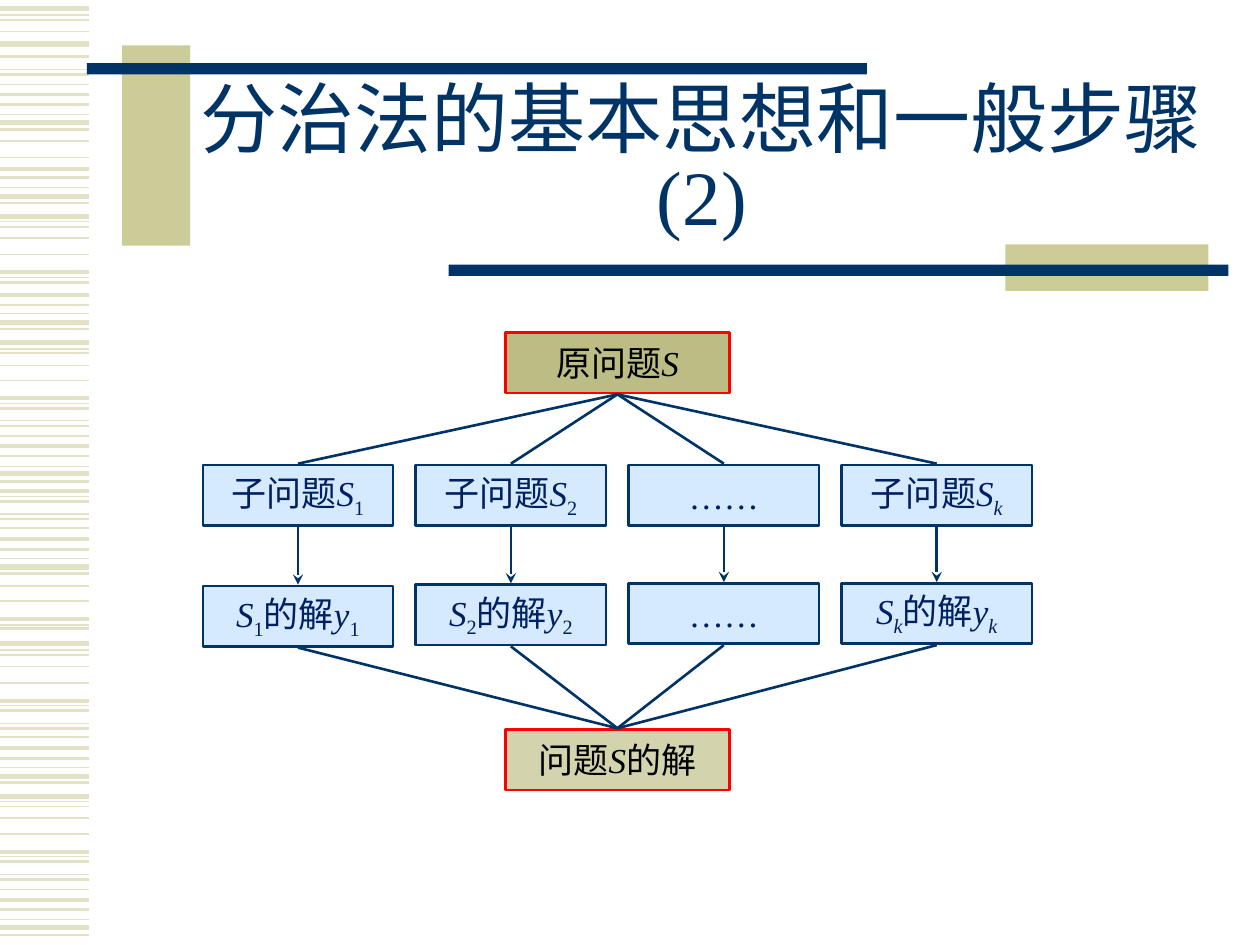
"""Build the slide on the basic idea and general steps of divide and conquer."""
from lxml import etree
from pptx import Presentation
from pptx import util as u
from pptx.dml.color import RGBColor
from pptx.enum import shapes, text
from pptx.oxml.ns import qn

COLORS = {
    "stripe": "E3E2C7", "khaki": "CCCC99", "navy": "003366", "red": "FF0000",
    "problem": "BCBC85", "solution": "D3D3AE", "step": "D5E9FF",
    "ink": "002060", "black": "000000",
}
LATIN, ASIAN = "Times New Roman", "Noto Sans CJK SC"
TITLE = "分治法的基本思想和一般步骤 (2)"

STRIPES = {
    3: [0.07, 0.35, 0.97, 1.56, 1.72, 2.56, 2.72, 3.76, 4.5, 5.11, 6.16, 6.32, 7.36],
    2.25: [0.75, 1.34, 2.16, 2.34, 3.16, 3.54, 3.9, 4.28, 4.91, 5.56, 5.94, 6.76, 7.14],
    1.5: [0.45, 0.59, 0.83, 1.03, 1.41, 1.61, 2.24, 2.42, 2.61, 3.24, 3.38, 3.62, 3.82,
          3.98, 4.12, 4.36, 4.55, 4.99, 5.64, 5.78, 6.02, 6.21, 6.84, 6.98, 7.22, 7.42],
    1: [0.16, 0.25, 0.67, 1.12, 1.25, 1.8, 1.89, 2.02, 2.8, 2.9, 3.02, 3.46, 4.19,
        4.65, 4.77, 5.2, 5.29, 5.42, 5.85, 6.4, 6.49, 6.62, 7.06],
    0.75: [0.12, 0.55, 0.91, 1.49, 1.76, 2.2, 2.49, 2.77, 3.2, 3.34, 3.7, 3.94, 4.08,
           4.43, 4.96, 5.16, 5.6, 5.74, 6.09, 6.36, 6.8, 6.94, 7.3],
}
BARS = [
    (0.97, 0.36, 0.54, 1.59, "khaki"), (0.69, 0.5, 6.19, 0.09, "navy"),
    (7.98, 1.94, 1.61, 0.37, "khaki"), (3.56, 2.1, 6.19, 0.09, "navy"),
]

# Runs are (text, style): i = italic, s = subscript
PROBLEM = [("原问题", ""), ("S", "i")]
SOLUTION = [("问题", ""), ("S", "i"), ("的解", "")]
BRANCHES = [("1", "s", 4.65), ("2", "s", 4.64), (None, "", 4.63), ("k", "is", 4.63)]
ELLIPSIS = [("……", "")]

HUB_LEFT, HUB_WIDTH, HUB_CENTER = 4.01, 1.78, 4.9
PROBLEM_TOP, SUB_TOP, SOLUTION_TOP = 2.64, 3.69, 5.79
STEP_LEFT, STEP_WIDTH, STEP_PITCH = 1.61, 1.51, 1.69
BOX_HEIGHT, GAP = 0.48, 0.01


def rgb(name):
    return RGBColor.from_string(COLORS[name])


def set_font(run, size, color):
    run.font.size = u.Pt(size)
    run.font.name = LATIN
    run.font.color.rgb = rgb(color)
    asian = etree.SubElement(run.font._element, qn("a:ea"))
    asian.set("typeface", ASIAN)


def add_rectangle(slide, left, top, width, height, fill, line=None):
    shape = slide.shapes.add_shape(
        shapes.MSO_SHAPE.RECTANGLE, *map(u.Inches, (left, top, width, height)))
    shape.shadow.inherit = False
    shape.fill.solid()
    shape.fill.fore_color.rgb = rgb(fill)
    if line:
        shape.line.color.rgb = rgb(line)
        shape.line.width = u.Pt(1.5)
    else:
        shape.line.fill.background()
    return shape


def add_box(slide, left, top, width, fill, line, color, runs):
    frame = add_rectangle(slide, left, top, width, BOX_HEIGHT, fill, line).text_frame
    frame.word_wrap = False
    frame.vertical_anchor = text.MSO_ANCHOR.MIDDLE
    paragraph = frame.paragraphs[0]
    paragraph.alignment = text.PP_ALIGN.CENTER
    for content, style in runs:
        run = paragraph.add_run()
        run.text = content
        set_font(run, 20, color)
        run.font.italic = "i" in style
        if "s" in style:
            run.font._element.set("baseline", "-25000")


def add_line(slide, start, end, color="navy", width=1.5, arrow=False):
    connector = slide.shapes.add_connector(
        shapes.MSO_CONNECTOR.STRAIGHT, *map(u.Inches, (*start, *end)))
    connector.line.color.rgb = rgb(color)
    connector.line.width = u.Pt(width)
    if arrow:
        tail = etree.SubElement(connector.line._get_or_add_ln(), qn("a:tailEnd"))
        tail.set("type", "stealth")
    etree.SubElement(connector._element.spPr, qn("a:effectLst"))


def add_title(slide):
    title = slide.shapes.title
    title.left, title.top, title.width, title.height = map(u.Inches, (1.14, 0.67, 8.86, 1.25))
    frame = title.text_frame
    frame.text = TITLE
    frame.word_wrap = True
    frame.auto_size = text.MSO_AUTO_SIZE.NONE
    frame.vertical_anchor = text.MSO_ANCHOR.MIDDLE
    frame.margin_left = frame.margin_right = u.Inches(0.1)
    paragraph = frame.paragraphs[0]
    paragraph.alignment = text.PP_ALIGN.CENTER
    paragraph.line_spacing = 0.85
    set_font(paragraph.runs[0], 44, "navy")


def add_diagram(slide):
    problem_foot = (HUB_CENTER, PROBLEM_TOP + BOX_HEIGHT + GAP)
    solution_head = (HUB_CENTER, SOLUTION_TOP - GAP)
    add_box(slide, HUB_LEFT, PROBLEM_TOP, HUB_WIDTH, "problem", "red", "black", PROBLEM)
    add_box(slide, HUB_LEFT, SOLUTION_TOP, HUB_WIDTH, "solution", "red", "black", SOLUTION)
    for column, (index, style, answer_top) in enumerate(BRANCHES):
        left = STEP_LEFT + column * STEP_PITCH
        center = left + STEP_WIDTH / 2
        subproblem = answer = ELLIPSIS
        if index:
            subscript = (index, style)
            subproblem = [("子问题", ""), ("S", "i"), subscript]
            answer = [("S", "i"), subscript, ("的解", ""), ("y", "i"), subscript]
        for top, runs in ((SUB_TOP, subproblem), (answer_top, answer)):
            add_box(slide, left, top, STEP_WIDTH, "step", "navy", "ink", runs)
        add_line(slide, problem_foot, (center, SUB_TOP - GAP))
        add_line(slide, (center, SUB_TOP + BOX_HEIGHT + GAP),
                 (center, answer_top - GAP), arrow=True)
        add_line(slide, (center, answer_top + BOX_HEIGHT + GAP), solution_head)


def main():
    presentation = Presentation()
    presentation.slide_width, presentation.slide_height = u.Inches(10), u.Inches(7.5)
    slide = presentation.slides.add_slide(presentation.slide_layouts[5])
    for width, heights in STRIPES.items():
        for y in heights:
            add_line(slide, (0, y), (0.71, y), "stripe", width)
    for bar in BARS:
        add_rectangle(slide, *bar)
    add_title(slide)
    add_diagram(slide)
    presentation.save("out.pptx")


if __name__ == "__main__":
    main()
